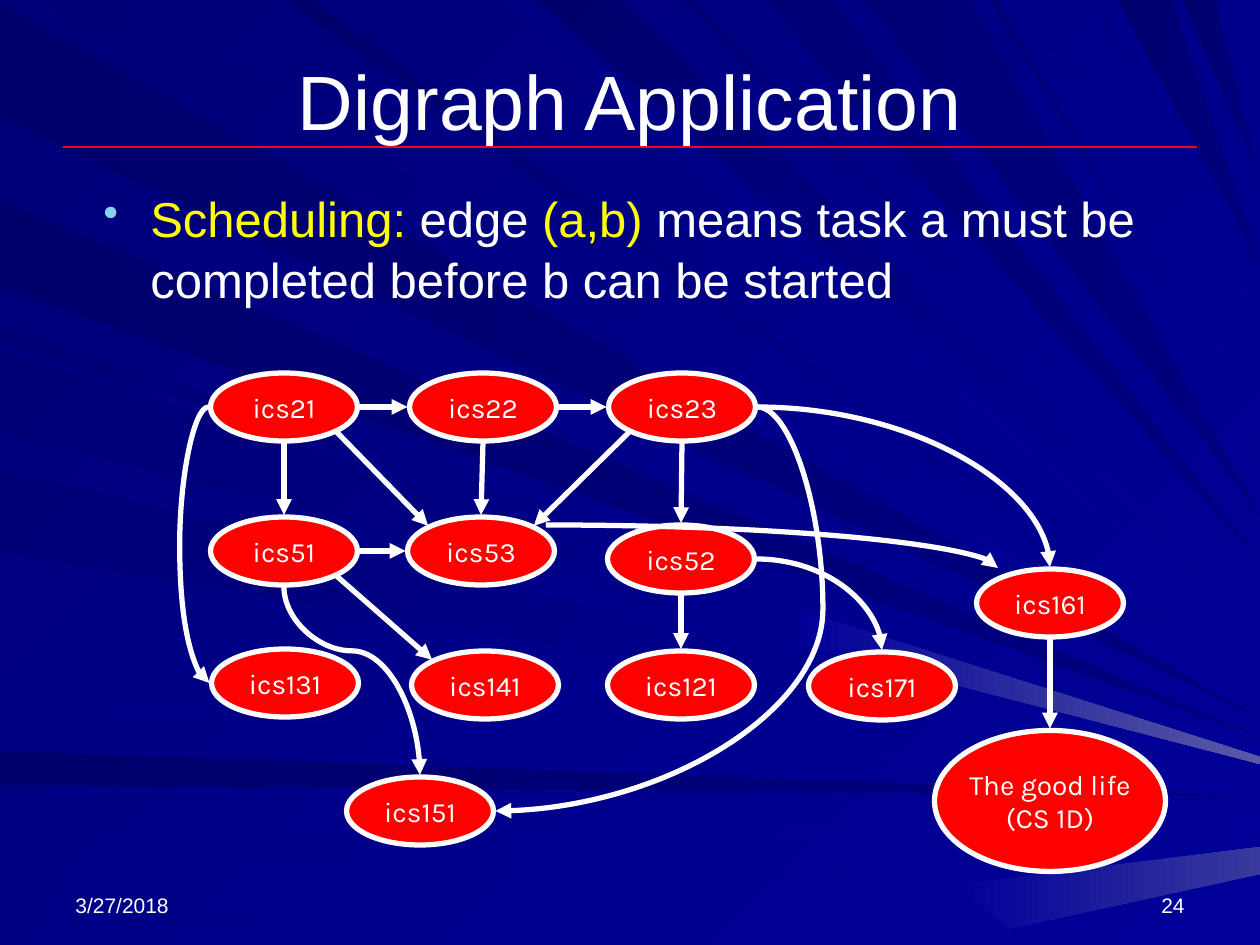
"""Build the Digraph Application slide: course prerequisites as a directed graph."""
import pptx
import pptx.dml.color
import pptx.enum.shapes
import pptx.enum.text
import pptx.oxml
import pptx.oxml.ns
import pptx.util
from dataclasses import dataclass
from lxml import etree


@dataclass(frozen=True)
class Theme:
    white: str = "FFFFFF"
    gold: str = "FFFF00"
    red: str = "FF0000"
    rule: str = "EF0129"
    dot: str = "86D1EC"
    dark: str = "000078"
    shade: str = "00006D"
    dusk: str = "000076"
    dim: str = "000085"
    deep: str = "000080"
    base: str = "000099"
    haze: str = "39399E"
    glow: str = "5A5AA6"
    sans: str = "Arial"
    round: str = "Karla"
    head: int = 44
    body: int = 28
    node: int = 16
    foot: int = 12


T = Theme()
PX = 914400 / 126
WIDE, HIGH = 1260, 945
RGB = pptx.dml.color.RGBColor.from_string
ALIGN = pptx.enum.text.PP_ALIGN
ANCHOR = pptx.enum.text.MSO_ANCHOR
KIND = pptx.enum.shapes.MSO_CONNECTOR
qn = pptx.oxml.ns.qn


def emu(*vals):
    return [pptx.util.Emu(round(v * PX)) for v in vals]


def style(frame, font, size, align, anchor=ANCHOR.MIDDLE):
    frame.vertical_anchor = anchor
    for para in frame.paragraphs:
        para.alignment = align
        for run in para.runs:
            run.font.name, run.font.size = font, pptx.util.Pt(size)
            run.font.color.rgb = RGB(T.white)


deck = pptx.Presentation()
deck.slide_width, deck.slide_height = emu(WIDE, HIGH)
slide = deck.slides.add_slide(deck.slide_layouts[5])
shapes = slide.shapes

SIDE = [
    (3, 117, 718, T.shade, T.deep), (751, 785, 796, T.shade, T.deep),
    (838, 887, 815, T.dim, T.base), (926, 945, 834, T.dim, T.base),
    (325, 340, 742, T.dusk, T.base), (200, 287, 737, T.shade, T.deep),
    (350, 431, 757, T.dusk, T.base), (471, 551, 763, T.dusk, T.base),
    (696, 706, 783, T.dim, T.base),
]
TOP = [
    (33, 127, 709, T.dusk, T.base), (284, 311, 692, T.shade, T.base),
    (501, 524, 652, T.dim, T.base), (537, 620, 620, T.shade, T.base),
    (680, 696, 583, T.dusk, T.base), (764, 833, 562, T.dusk, T.deep),
    (864, 970, 515, T.dusk, T.deep), (989, 998, 450, T.dusk, T.base),
    (1027, 1038, 423, T.dim, T.base), (1090, 1099, 320, T.dim, T.base),
    (1118, 1172, 265, T.shade, T.deep), (1183, 1215, 177, T.shade, T.deep),
]
rays = [([(0, a), (0, b), (WIDE, tip)], *tones) for a, b, tip, *tones in SIDE]
rays += [([(a, 0), (b, 0), (WIDE, tip)], *tones) for a, b, tip, *tones in TOP]
rays += [
    ([(803, 611), (798, 644), (WIDE, 764), (WIDE, 757)], T.base, T.glow),
    ([(953, 885), (1009, 929), (WIDE, 874), (WIDE, 847)], T.base, T.haze),
]
fills = [(slide.background.fill, T.dark, T.base, 315)]
group = shapes.add_group_shape()
for pts, start, end in rays:
    pen = group.shapes.build_freeform(*pts[0], scale=PX)
    pen.add_line_segments(pts[1:], close=True)
    ray = pen.convert_to_shape()
    ray.shadow.inherit = False
    ray.line.fill.background()
    fills.append((ray.fill, start, end, 315 if end == T.base else 0))
for fill, start, end, turn in fills:
    fill.gradient()
    fill.gradient_angle = turn
    for stop, tone in zip(fill.gradient_stops, (start, end)):
        stop.color.rgb = RGB(tone)

title = shapes.title
title.left, title.top, title.width, title.height = emu(63, 38, 1134, 123)
title.text_frame.text = "Digraph Application"
style(title.text_frame, T.sans, T.head, ALIGN.CENTER)
shapes._spTree.append(title._element)

frame = shapes.add_textbox(*emu(91, 179, 1138, 158)).text_frame
frame.word_wrap = True
para = frame.paragraphs[0]
props = para._p.get_or_add_pPr()
props.set("marL", str(emu(47)[0]))
props.set("indent", str(emu(-47)[0]))
tint = etree.SubElement(props, qn("a:buClr"))
etree.SubElement(tint, qn("a:srgbClr"), val=T.dot)
etree.SubElement(props, qn("a:buSzPct"), val="90000")
etree.SubElement(props, qn("a:buChar"), char="•")
para.line_spacing = 1.05
PARTS = ["Scheduling:", " edge ", "(a,b)", " means task a must be completed before b can be started"]
for part in PARTS:
    para.add_run().text = part
style(frame, T.sans, T.body, ALIGN.LEFT, ANCHOR.TOP)
for run in para.runs[::2]:
    run.font.color.rgb = RGB(T.gold)

for left, text, align in [(63, "3/27/2018", ALIGN.LEFT), (903, "24", ALIGN.RIGHT)]:
    frame = shapes.add_textbox(*emu(left, 861, 294, 63)).text_frame
    frame.word_wrap = True
    frame.text = text
    style(frame, T.sans, T.foot, align, ANCHOR.BOTTOM)

LIFE = "The good life\n(CS 1D)"
NODES = {
    "ics21": (284, 407), "ics22": (483, 407), "ics23": (682, 407),
    "ics51": (284, 551), "ics53": (481, 551), "ics52": (681, 559),
    "ics131": (285, 683), "ics141": (485, 685), "ics121": (681, 685),
    "ics171": (882, 686), "ics161": (1050, 603), "ics151": (420, 811),
    LIFE: (1050, 801),
}
DIRS = {"n": (0, -1), "s": (0, 1), "w": (-1, 0), "e": (1, 0),
        "nw": (-0.7, -0.7), "ne": (0.7, -0.7), "sw": (-0.7, 0.7), "se": (0.7, 0.7)}
ports = {}
for text, (midx, midy) in NODES.items():
    wide, high = (231, 141) if text == LIFE else (147, 68)
    box = emu(midx - wide / 2, midy - high / 2, wide, high)
    node = shapes.add_shape(pptx.enum.shapes.MSO_SHAPE.OVAL, *box)
    node.shadow.inherit = False
    node.fill.solid()
    node.fill.fore_color.rgb = RGB(T.red)
    node.line.color.rgb = RGB(T.white)
    node.line.width = pptx.util.Pt(3)
    node.text_frame.word_wrap = False
    node.text_frame.text = text
    style(node.text_frame, T.round, T.node, ALIGN.CENTER)
    for key, (dx, dy) in DIRS.items():
        ports[text, key] = (midx + dx * (wide / 2 + 2), midy + dy * (high / 2 + 2))

LINES = [
    ("ics21", "e", "ics22", "w"), ("ics22", "e", "ics23", "w"), ("ics21", "s", "ics51", "n"),
    ("ics23", "s", "ics52", "n"), ("ics51", "e", "ics53", "w"), ("ics21", "se", "ics53", "nw"),
    ("ics22", "s", "ics53", "n"), ("ics23", "sw", "ics53", "ne"), ("ics52", "s", "ics121", "n"),
    ("ics51", "se", "ics141", "nw"), ("ics161", "s", LIFE, "n"),
]
ARCS = [("ics23", "e", "ics161", "n"), ("ics52", "e", "ics171", "n")]
BENDS = [("ics21", "w", "ics131", "w", -29), ("ics23", "e", "ics151", "e", -0.25),
         ("ics51", "s", "ics151", "n", 0.34)]
edges = [(ports[a, p] + ports[b, q], KIND.STRAIGHT, None) for a, p, b, q in LINES]
edges += [(ports[a, p] + ports[b, q], KIND.CURVE, None) for a, p, b, q in ARCS]
edges += [(ports[a, p] + ports[b, q], KIND.CURVE, bend) for a, p, b, q, bend in BENDS]
edges += [((546, 525, 998, 568), KIND.CURVE, None), ((63, 147, 1197, 147), None, None)]
for (x1, y1, x2, y2), kind, bend in edges:
    upright = bend is not None and bend > 0
    if upright:
        midx, midy, dx, dy = (x1 + x2) / 2, (y1 + y2) / 2, (x2 - x1) / 2, (y2 - y1) / 2
        x1, y1, x2, y2 = midx + dy, midy - dx, midx - dy, midy + dx
    edge = shapes.add_connector(kind or KIND.STRAIGHT, *emu(x1, y1, x2, y2))
    edge.line.color.rgb = RGB(T.white if kind else T.rule)
    edge.line.width = pptx.util.Pt(3 if kind else 0.75)
    props = edge._element.spPr
    etree.SubElement(props, qn("a:effectLst"))
    if kind:
        etree.SubElement(edge.line._get_or_add_ln(), qn("a:tailEnd"), type="triangle")
    if upright:
        props.find(qn("a:xfrm")).set("rot", str(270 * 60000))
    geom = props.find(qn("a:prstGeom"))
    if bend:
        guide = etree.SubElement(geom.find(qn("a:avLst")), qn("a:gd"))
        guide.set("name", "adj1")
        guide.set("fmla", f"val {round(bend * 100000)}")
    elif kind == KIND.CURVE:
        geom.set("prst", "curvedConnector2")

deck.save("out.pptx")
